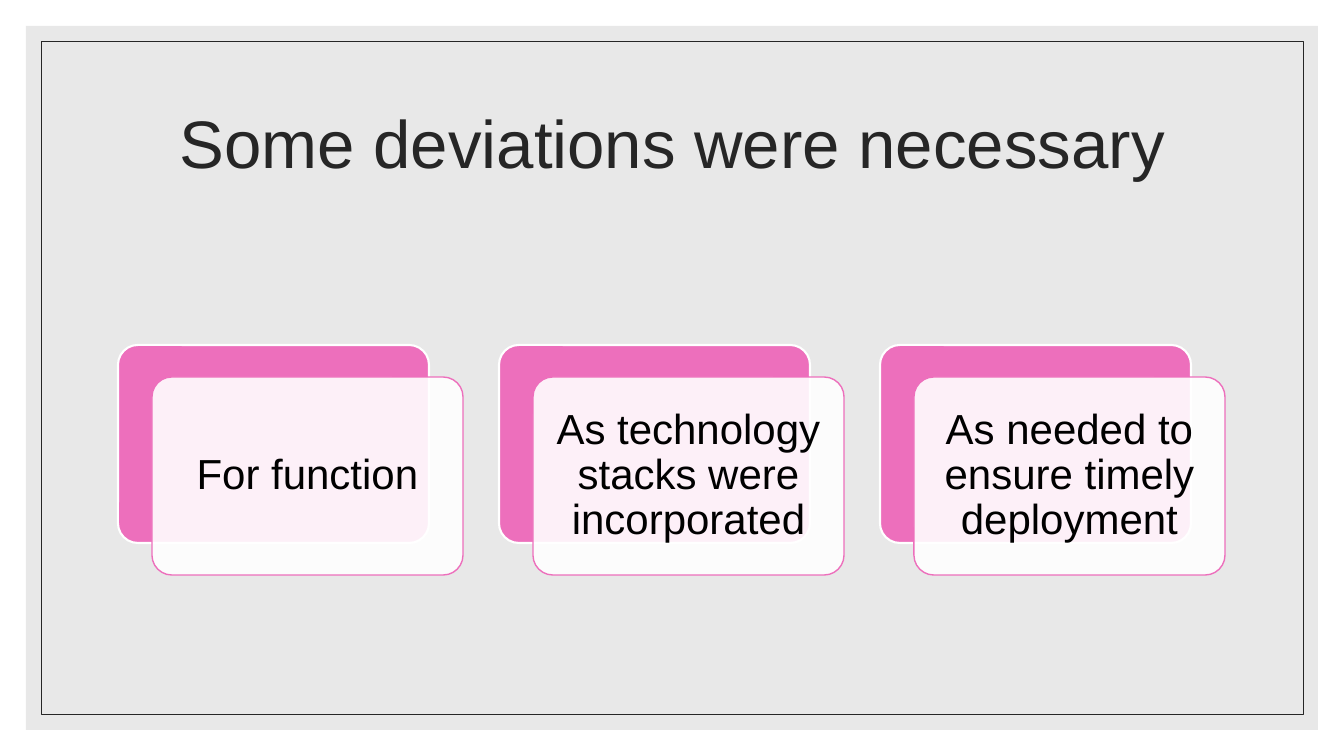
from dataclasses import dataclass

from lxml import etree
from pptx import Presentation
from pptx import util as u
from pptx.dml.color import RGBColor
from pptx.enum import shapes, text
from pptx.oxml.ns import qn

EMU_PER_PX = 914400 / 100.8
SLIDE_SIZE = (1344, 756)
TITLE_ONLY = 5

CARD_TEXTS = [
    "For function",
    "As technology stacks were incorporated",
    "As needed to ensure timely deployment",
]
CARD_LEFT, CARD_TOP, CARD_STEP = 118, 345, 381
CARD_WIDTH, CARD_HEIGHT = 311, 198
FRONT_SHIFT_X, FRONT_SHIFT_Y = 34, 32


@dataclass(frozen=True)
class Theme:
    font: str = "Arial"
    white: str = "FFFFFF"
    panel: str = "D9D9D9"
    dark: str = "262626"
    pink: str = "ED6FBC"
    black: str = "000000"
    title_size: int = 48
    card_size: int = 30


def px(length):
    return u.Emu(round(length * EMU_PER_PX))


def set_all(target, values):
    for name, value in values.items():
        setattr(target, name, value)


class SlideBuilder:
    def __init__(self, page, theme):
        self.page = page
        self.theme = theme

    def background(self, color):
        fill = self.page.background.fill
        fill.solid()
        fill.fore_color.rgb = RGBColor.from_string(color)

    def box(self, place, fill=None, opacity=100, line=None, width=1,
            rounded=False, parent=None):
        """Add a rectangle to the slide or to a group; opacity is in percent."""
        kinds = shapes.MSO_SHAPE
        kind = kinds.ROUNDED_RECTANGLE if rounded else kinds.RECTANGLE
        box = (parent or self.page).shapes.add_shape(kind, *map(px, place))
        box.shadow.inherit = False
        if rounded:
            box.adjustments[0] = 0.1
        if fill:
            box.fill.solid()
            box.fill.fore_color.rgb = RGBColor.from_string(fill)
            if opacity < 100:
                solid = box.element.spPr.find(qn("a:solidFill"))
                color = solid.find(qn("a:srgbClr"))
                etree.SubElement(color, qn("a:alpha"), val=str(opacity * 1000))
        else:
            box.fill.background()
        if line:
            box.line.color.rgb = RGBColor.from_string(line)
            box.line.width = u.Pt(width)
        else:
            box.line.fill.background()
        return box

    def put_text(self, box, words, size, color, margins=None):
        """Fill a shape with one centred paragraph."""
        frame = box.text_frame
        set_all(frame, {
            "word_wrap": True,
            "auto_size": text.MSO_AUTO_SIZE.NONE,
            "vertical_anchor": text.MSO_ANCHOR.MIDDLE,
        })
        if margins is not None:
            sides = ("left", "top", "right", "bottom")
            set_all(frame, {f"margin_{side}": px(margins) for side in sides})
        para = frame.paragraphs[0]
        set_all(para, {
            "alignment": text.PP_ALIGN.CENTER,
            "line_spacing": 0.9,
            "space_before": u.Pt(0),
        })
        span = para.add_run()
        span.text = words
        set_all(span.font, {"name": self.theme.font, "size": u.Pt(size)})
        span.font.color.rgb = RGBColor.from_string(color)

    def title(self, words, place):
        title = self.page.shapes.title
        set_all(title, dict(zip(("left", "top", "width", "height"), map(px, place))))
        self.put_text(title, words, self.theme.title_size, self.theme.dark)
        # Bring the title in front of the translucent panel.
        title.element.getparent().append(title.element)

    def card(self, group, left, top, words):
        theme = self.theme
        size = (CARD_WIDTH, CARD_HEIGHT)
        self.box((left, top, *size), fill=theme.pink, line=theme.white,
                 width=1.5, rounded=True, parent=group)
        front = self.box((left + FRONT_SHIFT_X, top + FRONT_SHIFT_Y, *size),
                         fill=theme.white, opacity=90, line=theme.pink,
                         rounded=True, parent=group)
        self.put_text(front, words, theme.card_size, theme.black, margins=12)


def main():
    deck = Presentation()
    deck.slide_width, deck.slide_height = map(px, SLIDE_SIZE)
    theme = Theme()
    page = deck.slides.add_slide(deck.slide_layouts[TITLE_ONLY])
    builder = SlideBuilder(page, theme)

    builder.background(theme.white)
    builder.box((26, 26, 1292, 704), fill=theme.panel, opacity=60)
    builder.box((41, 41, 1262, 673), line=theme.dark, width=0.5)
    builder.title("Some deviations were necessary", (118, 71, 1109, 151))

    cards = page.shapes.add_group_shape()
    for index, words in enumerate(CARD_TEXTS):
        builder.card(cards, CARD_LEFT + index * CARD_STEP, CARD_TOP, words)

    deck.save("out.pptx")


if __name__ == "__main__":
    main()
